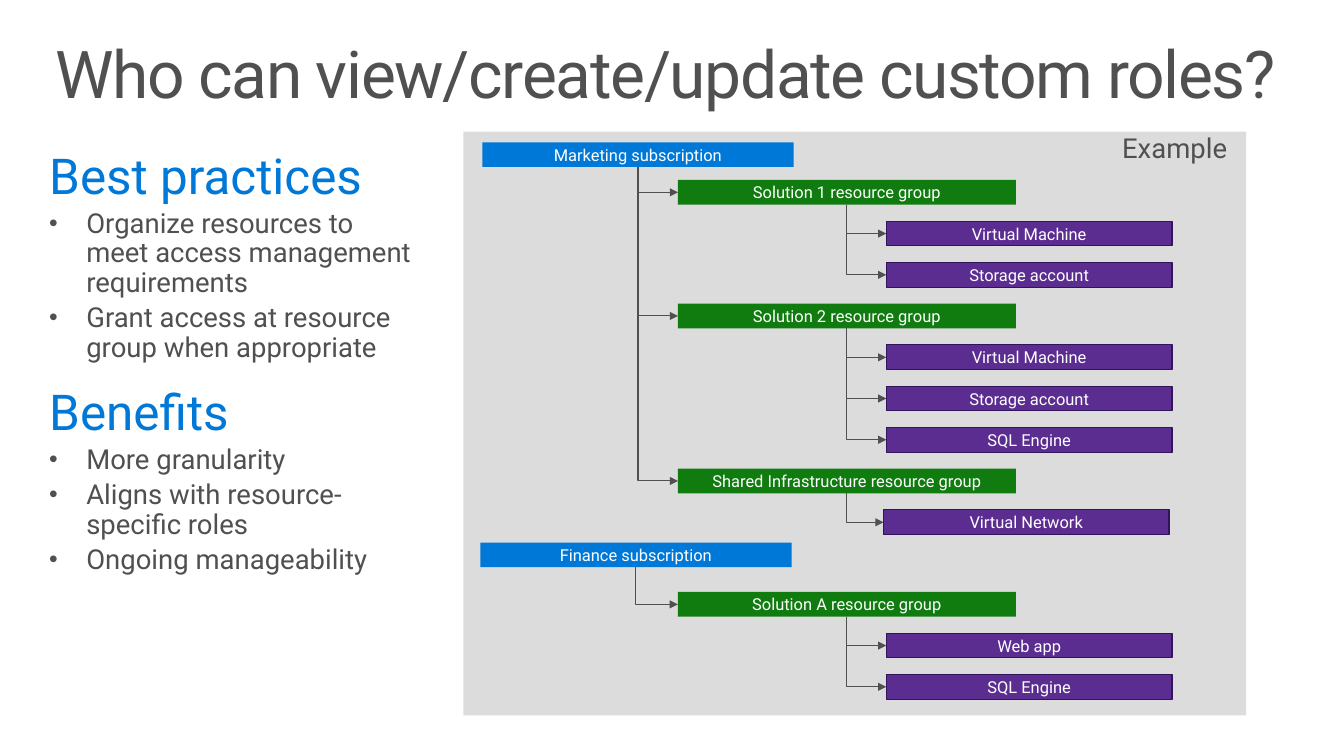
from dataclasses import dataclass

from lxml import etree
from pptx import Presentation
from pptx.dml.color import RGBColor
from pptx.enum.shapes import MSO_CONNECTOR, MSO_SHAPE
from pptx.enum.text import MSO_ANCHOR, PP_ALIGN
from pptx.oxml.ns import qn
from pptx.util import Pt

RECT = MSO_SHAPE.RECTANGLE
ELBOW = MSO_CONNECTOR.ELBOW
MIDDLE = MSO_ANCHOR.MIDDLE
LEFT, CENTER, RIGHT = PP_ALIGN.LEFT, PP_ALIGN.CENTER, PP_ALIGN.RIGHT
BOTTOM_SIDE, LEFT_SIDE = 2, 1


@dataclass(frozen=True)
class Theme:
    font: str = "Roboto"
    gray: str = "505050"
    blue: str = "0078D7"
    green: str = "107C10"
    purple: str = "5C2D91"
    edge: str = "32145A"
    white: str = "FFFFFF"
    title: int = 48
    head: int = 36
    body: int = 20
    label: int = 12


@dataclass(frozen=True)
class Level:
    """Looks of one level of the tree; left is measured from the panel."""
    left: float
    width: float
    fill: str
    edge: str = ""


THEME = Theme()
SUB = Level(13.7, 226.8, THEME.blue)
GROUP = Level(156.2, 246.2, THEME.green)
ASSET = Level(308.1, 208.1, THEME.purple, THEME.edge)
BAR = 18
PITCH = 30.05

NOTES = [
    ("Best practices", [
        "Organize resources to meet access management requirements",
        "Grant access at resource group when appropriate",
    ]),
    ("Benefits", [
        "More granularity",
        "Aligns with resource-specific roles",
        "Ongoing manageability",
    ]),
]

# Each tree: name, top, left shift, top of its first group, groups.
# Each group: name, left shift of its assets, assets.
TREES = [
    ("Marketing subscription", 7.9, 0, 35.3, [
        ("Solution 1 resource group", 0,
         ["Virtual Machine", "Storage account"]),
        ("Solution 2 resource group", 0,
         ["Virtual Machine", "Storage account", "SQL Engine"]),
        ("Shared Infrastructure resource group", -2.1,
         ["Virtual Network"]),
    ]),
    ("Finance subscription", 299.5, -1.5, 335.5, [
        ("Solution A resource group", 0, ["Web app", "SQL Engine"]),
    ]),
]


def color(code):
    return RGBColor.from_string(code)


def add_run(para, text, size, code):
    run = para.add_run()
    run.text = text
    run.font.name = THEME.font
    run.font.size = Pt(size)
    run.font.color.rgb = color(code)
    return run


def add_box(slide, box):
    """Add a wrapping text box and return its text frame."""
    frame = slide.shapes.add_textbox(*map(Pt, box)).text_frame
    frame.word_wrap = True
    return frame


def add_rect(slide, box, fill, edge=""):
    rect = slide.shapes.add_shape(RECT, *map(Pt, box))
    rect.shadow.inherit = False
    rect.fill.solid()
    rect.fill.fore_color.rgb = color(fill)
    if edge:
        rect.line.color.rgb = color(edge)
        rect.line.width = Pt(0.85)
    else:
        rect.line.fill.background()
    return rect


def add_bar(slide, panel, level, top, text, shift=0):
    left, head = panel[:2]
    box = (left + level.left + shift, head + top, level.width, BAR)
    bar = add_rect(slide, box, level.fill, level.edge)
    frame = bar.text_frame
    frame.word_wrap = True
    frame.vertical_anchor = MIDDLE
    frame.margin_left = frame.margin_right = 0
    frame.margin_top = frame.margin_bottom = Pt(3.6)
    para = frame.paragraphs[0]
    para.alignment = CENTER
    add_run(para, text, THEME.label, THEME.white)
    return bar


def add_link(slide, start, end):
    """Run an arrow down from start's bottom and right to end's left side."""
    x, y = start.left + start.width // 2, start.top + start.height
    wide, high = end.left - x, end.top + end.height // 2 - y
    link = slide.shapes.add_connector(ELBOW, x, y, x + wide, y + high)
    link.begin_connect(start, BOTTOM_SIDE)
    link.end_connect(end, LEFT_SIDE)
    link.line.color.rgb = color(THEME.gray)
    link.line.width = Pt(0.75)

    # A single bend is a quarter-turned, mirrored bentConnector2.
    link.left, link.top = x + (wide - high) // 2, y + (high - wide) // 2
    link.width, link.height = high, wide
    props = link.element.spPr
    props.find(qn("a:prstGeom")).set("prst", "bentConnector2")
    frame = props.find(qn("a:xfrm"))
    for key in ("flipH", "flipV"):
        frame.attrib.pop(key, None)
    frame.set("rot", "16200000")
    frame.set("flipH", "1")
    line = props.find(qn("a:ln"))
    etree.SubElement(line, qn("a:tailEnd"), type="triangle")
    etree.SubElement(props, qn("a:effectLst"))


def add_title(slide, box):
    frame = add_box(slide, box)
    frame.margin_left = frame.margin_right = Pt(11.5)
    frame.margin_top = frame.margin_bottom = Pt(7.2)
    para = frame.paragraphs[0]
    para.line_spacing = 0.9
    run = add_run(para, "Who can view/create/update custom roles?",
                  THEME.title, THEME.gray)
    run.font.element.set("spc", "-100") if hasattr(run.font, "element") \
        else run._r.get_or_add_rPr().set("spc", "-100")


def add_bullet(para):
    props = para._p.get_or_add_pPr()
    props.set("marL", str(Pt(27)))
    props.set("indent", str(Pt(-27)))
    etree.SubElement(props, qn("a:buSzPct"), val="90000")
    etree.SubElement(props, qn("a:buFont"), typeface="Arial")
    etree.SubElement(props, qn("a:buChar"), char="•")


def add_notes(slide, box):
    frame = add_box(slide, box)
    para = frame.paragraphs[0]
    for head, items in NOTES:
        para = para if not para.runs else frame.add_paragraph()
        para.alignment = LEFT
        para.line_spacing = 1.14
        para.space_before = Pt(THEME.head * 0.2)
        add_run(para, head, THEME.head, THEME.blue)
        for item in items:
            para = frame.add_paragraph()
            para.line_spacing = 0.9
            para.space_before = Pt(THEME.body * 0.2)
            add_bullet(para)
            add_run(para, item, THEME.body, THEME.gray)


def add_panel(slide, box):
    """Place the gray example panel with its resource trees."""
    back = add_rect(slide, box, THEME.gray)
    tint = back.element.spPr.find(qn("a:solidFill"))[0]
    etree.SubElement(tint, qn("a:alpha"), val="20000")

    for name, top, shift, row, groups in TREES:
        root = add_bar(slide, box, SUB, top, name, shift)
        for title, nudge, assets in groups:
            group = add_bar(slide, box, GROUP, row, title)
            add_link(slide, root, group)
            for asset in assets:
                row += PITCH
                leaf = add_bar(slide, box, ASSET, row, asset, nudge)
                add_link(slide, group, leaf)
            row += PITCH

    left, top, width, _ = box
    tag = add_box(slide, (left + width - 199, top - 0.8, 192.3, 36))
    para = tag.paragraphs[0]
    para.alignment = RIGHT
    para.line_spacing = 0.9
    para.space_before = Pt(THEME.body * 0.2)
    add_run(para, "Example", THEME.body, THEME.gray)


def main():
    deck = Presentation()
    deck.slide_width, deck.slide_height = Pt(979.2), Pt(550.8)
    slide = deck.slides.add_slide(deck.slide_layouts[6])
    add_notes(slide, (28.8, 95.8, 283.7, 425.5))
    add_title(slide, (28.8, 23, 921.6, 72))
    add_panel(slide, (337.7, 95.8, 570.2, 425.5))
    deck.save("out.pptx")


if __name__ == "__main__":
    main()
